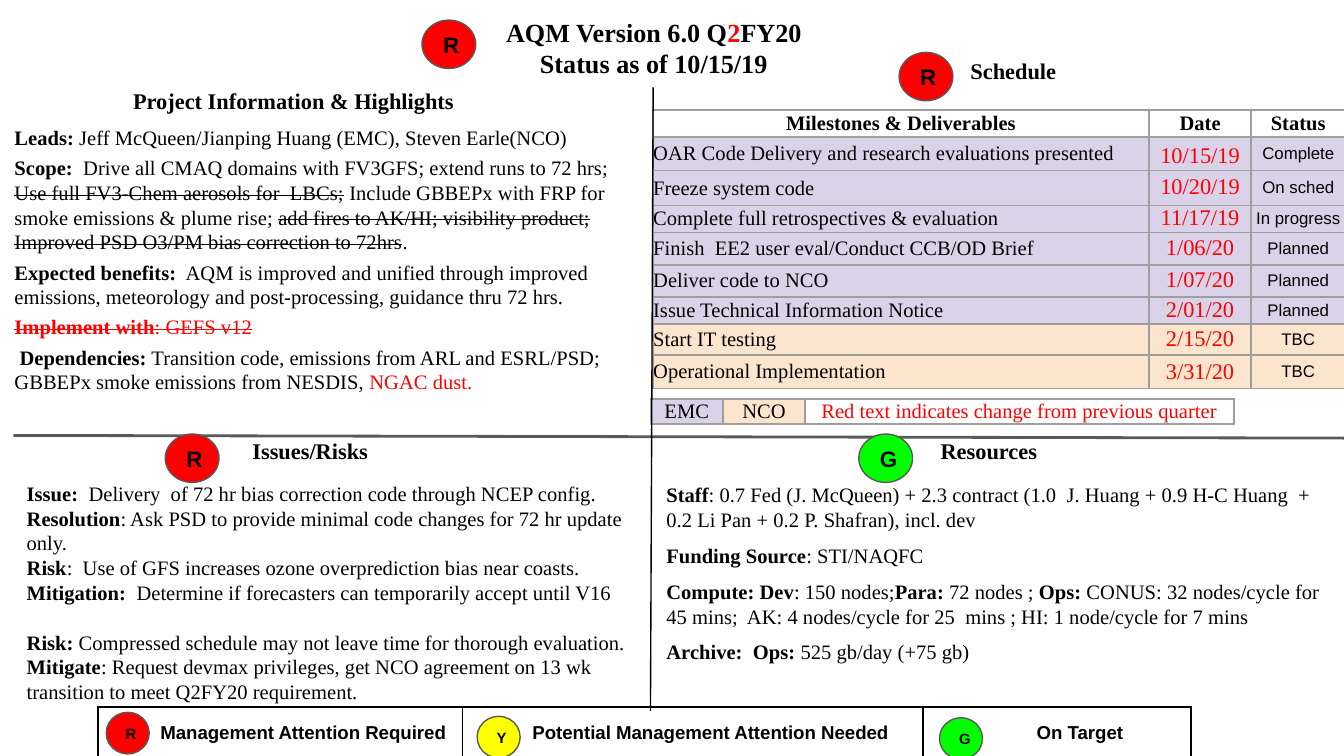
"""Build the AQM quarterly project status slide."""
from lxml import etree
from pptx import Presentation
from pptx.dml.color import RGBColor
from pptx.enum.shapes import MSO_CONNECTOR, MSO_SHAPE
from pptx.enum.text import MSO_ANCHOR, PP_ALIGN
from pptx.oxml.ns import qn
from pptx.util import Inches, Pt

LEFT, CENTER = PP_ALIGN.LEFT, PP_ALIGN.CENTER
TOP, MIDDLE = MSO_ANCHOR.TOP, MSO_ANCHOR.MIDDLE
OVAL, STRAIGHT = MSO_SHAPE.OVAL, MSO_CONNECTOR.STRAIGHT
SERIF, SANS = "Times New Roman", "Arial"
COLORS = {"black": "000000", "red": "FF0000", "yellow": "FFFF00", "green": "00FF00",
          "gray": "595959", "border": "9E9E9E", "emc": "D9D2E9", "nco": "FCE5CD"}
BOLD, STRIKE, RED = "b", "s", "r"

TITLE = [[("AQM Version 6.0 Q", BOLD), ("2", BOLD + RED), ("FY20", BOLD)],
         [("Status as of 10/15/19", BOLD)]]
HEADINGS = [
    ("Schedule", (6.97, 0.38, 1.14, 0.29), CENTER),
    ("Project Information & Highlights", (0.79, 0.59, 2.79, 0.31), CENTER),
    ("Issues/Risks", (1.78, 3.21, 1.17, 0.29), LEFT),
    ("Resources", (6.9, 3.21, 1.09, 0.29), LEFT),
]
HIGHLIGHTS = [
    [("Leads: ", BOLD), ("Jeff McQueen/Jianping Huang (EMC), Steven Earle(NCO)", "")],
    [("Scope: ", BOLD), (" Drive all CMAQ domains with FV3GFS; extend runs to 72 hrs; ", ""),
     ("Use full FV3-Chem aerosols for  LBCs;", STRIKE),
     (" Include GBBEPx with FRP for smoke emissions & plume rise; ", ""),
     ("add fires to AK/HI; visibility product; "
      "Improved PSD O3/PM bias correction to 72hrs", STRIKE), (".", "")],
    [("Expected benefits:", BOLD),
     ("  AQM is improved and unified through improved emissions, meteorology and "
      "post-processing, guidance thru 72 hrs.", "")],
    [("Implement with", BOLD + STRIKE + RED), (": GEFS v12", STRIKE + RED)],
    [(" Dependencies:", BOLD),
     (" Transition code, emissions from ARL and ESRL/PSD; "
      "GBBEPx smoke emissions from NESDIS,", ""), (" NGAC dust.", RED)],
]
ISSUES = [
    [("Issue:  ", BOLD),
     ("Delivery  of 72 hr bias correction code through NCEP config. ", ""),
     ("Resolution", BOLD),
     (": Ask PSD to provide minimal code changes for 72 hr update only.", "")],
    [("Risk", BOLD), (":  Use of GFS increases ozone overprediction bias near coasts.", "")],
    [("Mitigation:  ", BOLD),
     ("Determine if forecasters can temporarily accept until V16", "")],
    [("Risk:", BOLD), (" Compressed schedule may not leave time for thorough evaluation.", "")],
    [("Mitigate", BOLD),
     (": Request devmax privileges, get NCO agreement on 13 wk transition to meet "
      "Q2FY20 requirement.", "")],
]
RESOURCES = [
    [("Staff", BOLD),
     (": 0.7 Fed (J. McQueen) + 2.3 contract (1.0  J. Huang + 0.9 H-C Huang  + "
      "0.2 Li Pan + 0.2 P. Shafran), incl. dev", "")],
    [("Funding Source", BOLD), (": STI/NAQFC", "")],
    [("Compute: Dev", BOLD), (": 150 nodes;", ""), ("Para: ", BOLD), ("72 nodes ; ", ""),
     ("Ops: ", BOLD),
     ("CONUS: 32 nodes/cycle for 45 mins;  AK: 4 nodes/cycle for 25  mins ; "
      "HI: 1 node/cycle for 7 mins", "")],
    [("Archive:  Ops: ", BOLD), ("525 gb/day (+75 gb)", "")],
]
MILESTONE_HEADER = ("Milestones & Deliverables", "Date", "Status")
MILESTONES = [
    ("OAR Code Delivery and research evaluations presented", "10/15/19", "Complete", "emc", 0.25, 1.15),
    ("Freeze system code", "10/20/19", "On sched", "emc", 0.26, 0.9),
    ("Complete full retrospectives & evaluation", "11/17/19", "In progress", "emc", 0.2, 0.9),
    ("Finish  EE2 user eval/Conduct CCB/OD Brief", "1/06/20", "Planned", "emc", 0.24, 0.9),
    ("Deliver code to NCO", "1/07/20", "Planned", "emc", 0.24, 0.9),
    ("Issue Technical Information Notice", "2/01/20", "Planned", "emc", 0.2, None),
    ("Start IT testing", "2/15/20", "TBC", "nco", 0.23, None),
    ("Operational Implementation", "3/31/20", "TBC", "nco", 0.25, None),
]
OWNER_KEY = [("EMC", "", "emc"), ("NCO", "", "nco"),
             ("Red text indicates change from previous quarter", RED, None)]
STATUS_KEY = [("Management Attention Required", 0.34),
              ("Potential Management Attention Needed", 0.26), ("On Target", 0.34)]
LIGHTS = [("R", "red", 3.14, 0.15), ("R", "red", 6.69, 0.39),
          ("R", "red", 1.23, 3.23), ("G", "green", 6.39, 3.23)]
KEY_LIGHTS = [("R", "red", 0.79, 5.3), ("Y", "yellow", 3.55, 5.33), ("G", "green", 6.99, 5.34)]
DIVIDERS = [((0.1, 3.24), (10.03, 3.26), "gray", 1.5),
            ((4.86, 0.65), (4.84, 5.29), "black", 0.75)]


def rgb(name):
    return RGBColor.from_string(COLORS[name])


def write(tf, paragraphs, size, font=SERIF, align=LEFT, gap=0, spacing=None):
    for i, runs in enumerate(paragraphs):
        p = tf.add_paragraph() if i else tf.paragraphs[0]
        p.alignment = align
        if i and gap:
            p.space_before = Pt(gap)
        if spacing:
            p.line_spacing = spacing
        for text, style in runs:
            r = p.add_run()
            r.text = text
            r.font.name, r.font.size, r.font.bold = font, Pt(size), BOLD in style
            r.font.color.rgb = rgb("red" if RED in style else "black")
            if STRIKE in style:
                r.font._element.set("strike", "sngStrike")


def set_frame(tf, anchor):
    tf.word_wrap = True
    tf.vertical_anchor = anchor
    tf.margin_left = tf.margin_right = tf.margin_top = tf.margin_bottom = Inches(0.1)


def add_text(s, box, paragraphs, size, anchor=TOP, **style):
    tf = s.shapes.add_textbox(*map(Inches, box)).text_frame
    set_frame(tf, anchor)
    write(tf, paragraphs, size, **style)
    return tf


def add_light(s, letter, color, x, y, width, height, size):
    sp = s.shapes.add_shape(OVAL, *map(Inches, (x, y, width, height)))
    sp.shadow.inherit = False
    sp.fill.solid()
    sp.fill.fore_color.rgb = rgb(color)
    sp.line.color.rgb = rgb("gray")
    sp.line.width = Pt(0.75)
    set_frame(sp.text_frame, MIDDLE)
    write(sp.text_frame, [[(letter, BOLD)]], size, SANS)


def add_divider(s, start, end, color, width):
    line = s.shapes.add_connector(STRAIGHT, *map(Inches, start + end))
    line.line.color.rgb = rgb(color)
    line.line.width = Pt(width)
    etree.SubElement(line._element.spPr, qn("a:effectLst"))


def add_grid(s, x, y, cols, rows):
    frame = s.shapes.add_table(len(rows), len(cols), Inches(x), Inches(y),
                               Inches(sum(cols)), Inches(sum(rows)))
    table = frame.table
    table.first_row = table.horz_banding = False
    for col, width in zip(table.columns, cols):
        col.width = Inches(width)
    for row, height in zip(table.rows, rows):
        row.height = Inches(height)
    return table


def fill_cell(cell, text, style, size, fill=None, border="border", indent=0, **layout):
    cell.vertical_anchor = MIDDLE
    cell.margin_right = cell.margin_top = cell.margin_bottom = 0
    cell.margin_left = Inches(indent)
    write(cell.text_frame, [[(text, style)]], size, **layout)
    tc_pr = cell._tc.get_or_add_tcPr()
    for side in ("lnL", "lnR", "lnT", "lnB"):
        ln = etree.SubElement(tc_pr, qn("a:" + side), w=str(Pt(1)))
        solid = etree.SubElement(ln, qn("a:solidFill"))
        etree.SubElement(solid, qn("a:srgbClr"), val=COLORS[border])
    if fill:
        cell.fill.solid()
        cell.fill.fore_color.rgb = rgb(fill)
    else:
        cell.fill.background()


def main():
    prs = Presentation()
    prs.slide_width = Inches(10)
    prs.slide_height = prs.slide_width * 9 // 16
    s = prs.slides.add_slide(prs.slide_layouts[6])

    add_text(s, (0.01, 0.83, 4.7, 2.42), HIGHLIGHTS, 11, gap=3)
    add_text(s, (3.42, 0.05, 2.89, 0.61), TITLE, 14, MIDDLE, align=CENTER)
    for text, box, align in HEADINGS:
        add_text(s, box, [[(text, BOLD)]], 12, MIDDLE, align=align)
    issues = add_text(s, (0.1, 3.3, 4.79, 1.81), ISSUES, 11)
    issues.margin_top = Inches(0.28)
    issues.paragraphs[3].space_before = Pt(13.5)
    add_text(s, (4.86, 3.49, 5.12, 1.76), RESOURCES, 11, gap=6)

    table = add_grid(s, 4.86, 0.82, (3.69, 0.76, 0.7), [0.2] + [m[4] for m in MILESTONES])
    for c, text in enumerate(MILESTONE_HEADER):
        fill_cell(table.cell(0, c), text, BOLD, 11, align=CENTER)
    for i, (task, date, status, owner, _, spacing) in enumerate(MILESTONES, 1):
        fill_cell(table.cell(i, 0), task, "", 11, owner)
        fill_cell(table.cell(i, 1), date, RED, 12, owner, align=CENTER, spacing=spacing)
        fill_cell(table.cell(i, 2), status, "", 9, owner, font=SANS, align=CENTER)

    table = add_grid(s, 4.84, 2.97, (0.54, 0.61, 3.19), [0.15])
    for c, (text, style, fill) in enumerate(OWNER_KEY):
        fill_cell(table.cell(0, c), text, style, 11, fill, align=CENTER)
    table = add_grid(s, 0.73, 5.26, (2.71, 3.43, 1.99), [0.39])
    for c, (text, indent) in enumerate(STATUS_KEY):
        fill_cell(table.cell(0, c), text, BOLD, 10, border="black", indent=indent,
                  font=SANS, align=CENTER)

    for divider in DIVIDERS:
        add_divider(s, *divider)
    for light in LIGHTS:
        add_light(s, *light, 0.4, 0.36, 12)
    for light in KEY_LIGHTS:
        add_light(s, *light, 0.32, 0.31, 8)
    prs.save("out.pptx")


if __name__ == "__main__":
    main()
